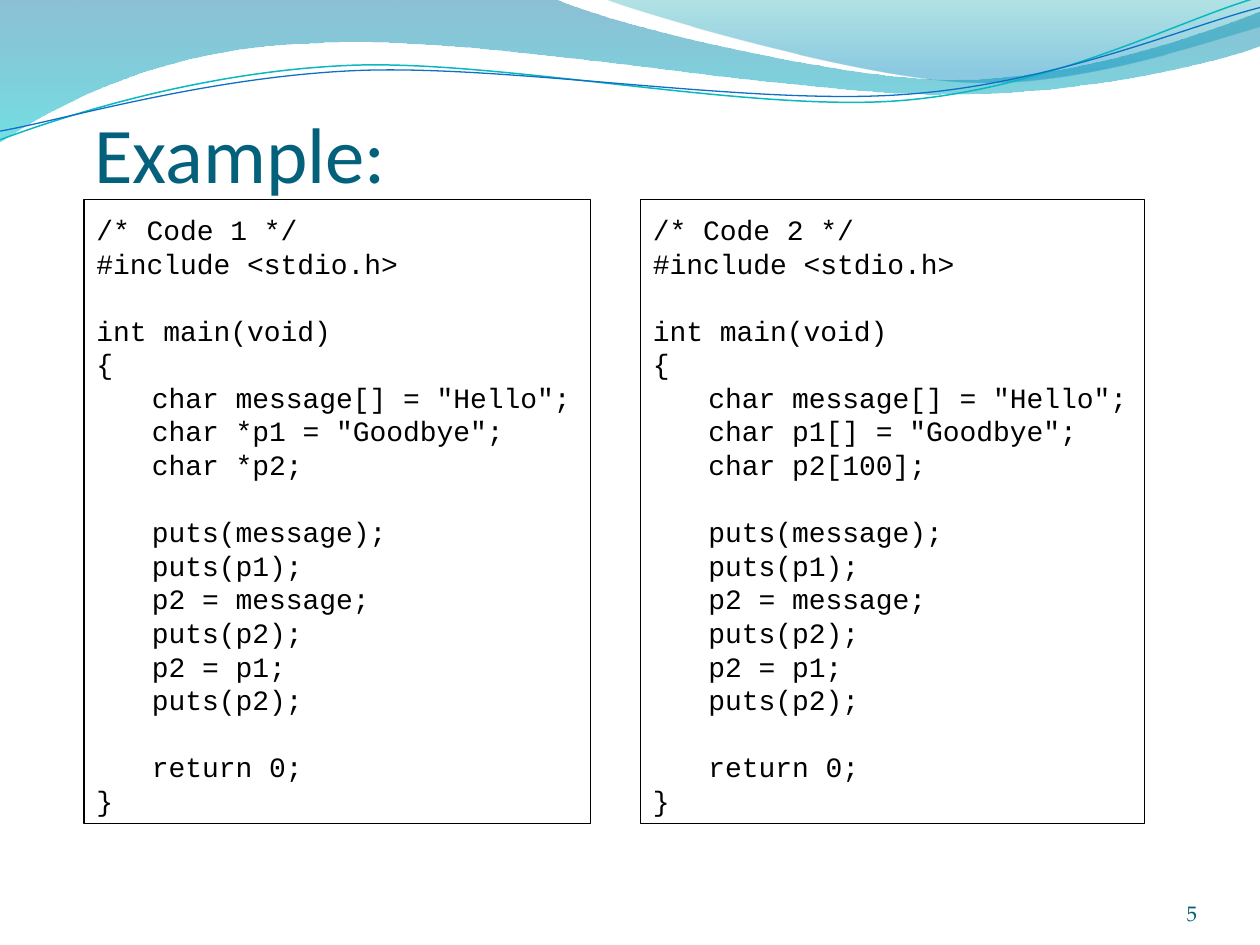
"""Build a slide that sets two C string examples side by side under a wave banner."""
import pptx
import pptx.dml.color
import pptx.enum.shapes
import pptx.enum.text
import pptx.oxml
import pptx.oxml.ns
import pptx.util

Pt = pptx.util.Pt
RGBColor = pptx.dml.color.RGBColor
ANCHOR = pptx.enum.text.MSO_ANCHOR
ALIGN = pptx.enum.text.PP_ALIGN
qn = pptx.oxml.ns.qn
DRAWING_NS = pptx.oxml.ns.nsdecls("a")

WHITE = RGBColor(0xFF, 0xFF, 0xFF)
BLACK = RGBColor(0x00, 0x00, 0x00)
TITLE_TEAL = RGBColor(0x04, 0x61, 0x7B)
NUMBER_TEAL = RGBColor(0x04, 0x5D, 0x75)
DEEP_BLUE = RGBColor(0x00, 0x74, 0xA1)
CYAN = RGBColor(0x00, 0xC6, 0xCF)
SEA_GREEN = RGBColor(0x00, 0xA1, 0xA9)
SKY_BLUE = RGBColor(0x00, 0x8B, 0xBF)
LINE_CYAN = RGBColor(0x0A, 0xB8, 0xBF)
LINE_BLUE = RGBColor(0x0F, 0x6F, 0xC6)

LINE_PITCH = 19.2
CODE_INDENT = 31.7

presentation = pptx.Presentation()
presentation.slide_width, presentation.slide_height = Pt(720), Pt(540)
slide = presentation.slides.add_slide(presentation.slide_layouts[6])


def add_outline(start, segments, close):
    """Draw segments of one point (straight) or three points (cubic curve)."""
    vertices = [(Pt(x), Pt(y)) for segment in segments for x, y in segment]
    builder = slide.shapes.build_freeform(Pt(start[0]), Pt(start[1]), scale=1.0)
    builder.add_line_segments(vertices, close=close)
    outline = builder.convert_to_shape()
    outline.shadow.inherit = False
    steps = iter(list(outline.element.spPr.iter(qn("a:lnTo"))))
    for segment in segments:
        corners = [next(steps) for point in segment]
        if len(corners) == 3:
            curve = pptx.oxml.parse_xml(f"<a:cubicBezTo {DRAWING_NS}/>")
            corners[0].addprevious(curve)
            for corner in corners:
                curve.append(corner[0])
                corner.getparent().remove(corner)
    return outline


def add_label(box, text, align, font_name, size, color):
    """Place one line of text in a frame without side insets."""
    frame = slide.shapes.add_textbox(*map(Pt, box)).text_frame
    frame.word_wrap = True
    frame.vertical_anchor = ANCHOR.BOTTOM
    frame.margin_left = frame.margin_right = frame.margin_bottom = 0
    frame.text = text
    paragraph = frame.paragraphs[0]
    paragraph.alignment = align
    font = paragraph.runs[0].font
    font.name, font.size, font.color.rgb = font_name, Pt(size), color
    return frame


waves = [
    ((0, 0), [
        [(317, -0.7)],
        [(342.7, 12.2), (478, 45.4), (545.8, 45.4)],
        [(614, 45.4), (689.8, 18.7), (720, 6.5)],
        [(720.7, 25.9)],
        [(707.8, 31.7), (626.4, 54.7), (537.1, 54)],
        [(447.8, 54), (275, 20.2), (185, 24.5)],
        [(92.9, 25.9), (33.1, 59.8), (-0.7, 81.4)],
    ], [(0, DEEP_BLUE, 45), (1, CYAN, 55)]),
    ((344.9, -0.7), [
        [(366.5, 7.9), (491, 44.6), (553.7, 46.8)],
        [(616.3, 49.7), (691.9, 23), (720, 15.1)],
        [(720, 0)],
    ], [(0, SEA_GREEN, 30), (0.8, SKY_BLUE, 45)]),
]
for start, segments, gradient in waves:
    wave = add_outline(start, segments, True)
    wave.line.fill.background()
    wave.fill.gradient()
    wave.fill.gradient_angle = 270
    for stop, (position, color, opacity) in zip(wave.fill.gradient_stops, gradient):
        stop.position = position
        stop.color.rgb = color
    tints = list(wave.element.spPr.iter(qn("a:srgbClr")))
    for tint, (position, color, opacity) in zip(tints, gradient):
        tint.append(pptx.oxml.parse_xml(f'<a:alpha {DRAWING_NS} val="{opacity * 1000}"/>'))

ribbons = [
    ((0, 79.9), [
        [(34.6, 67), (113.8, 41), (199.4, 37.4)],
        [(284.4, 33.8), (427, 64.1), (513.4, 57.6)],
        [(599.8, 51.1), (675.4, 10.8), (718.6, -1.4)],
    ], LINE_CYAN, 0.85),
    ((0, 74.9), [
        [(33.8, 69.1), (118.1, 43.9), (203.8, 40.3)],
        [(290.2, 36.7), (429.8, 60.5), (516.2, 54)],
        [(601.9, 48.2), (677.5, 15.1), (720, 4.3)],
    ], LINE_BLUE, 0.75),
]
for start, segments, color, width in ribbons:
    ribbon = add_outline(start, segments, False)
    ribbon.fill.background()
    ribbon.line.color.rgb = color
    ribbon.line.width = Pt(width)

add_label((54, 55.4, 635.8, 58.3), "Example:", ALIGN.LEFT, "Calibri", 45, TITLE_TEAL)
page_number = add_label((624, 500.4, 60, 28.8), "5", ALIGN.RIGHT,
                        "TeX Gyre Pagella", 12, NUMBER_TEAL)
page_number.margin_top = 0

listings = [
    (48, 289.5, "/* Code 1 */", "char *p1", "char *p2;"),
    (366, 288, "/* Code 2 */", "char p1[]", "char p2[100];"),
]
for left, width, heading, first_declaration, second_declaration in listings:
    code_blocks = [
        [heading, "#include <stdio.h>"],
        ["int main(void)", "{", '\tchar message[] = "Hello";',
         f'\t{first_declaration} = "Goodbye";', f"\t{second_declaration}"],
        ["\tputs(message);", "\tputs(p1);", "\tp2 = message;", "\tputs(p2);",
         "\tp2 = p1;", "\tputs(p2);"],
        ["\treturn 0;", "}"],
    ]
    listing = slide.shapes.add_shape(pptx.enum.shapes.MSO_SHAPE.RECTANGLE,
                                     Pt(left), Pt(114), Pt(width), Pt(356.4))
    listing.shadow.inherit = False
    listing.fill.solid()
    listing.fill.fore_color.rgb = WHITE
    listing.line.color.rgb = BLACK
    listing.line.width = Pt(0.75)
    frame = listing.text_frame
    frame.word_wrap = True
    frame.vertical_anchor = ANCHOR.BOTTOM
    frame.text = "\n".join(line for block in code_blocks for line in block)
    block_openers = [block[0] for block in code_blocks[1:]]
    for paragraph in frame.paragraphs:
        paragraph.alignment = ALIGN.LEFT
        paragraph.line_spacing = Pt(LINE_PITCH)
        paragraph.space_before = Pt(LINE_PITCH if paragraph.text in block_openers else 0)
        paragraph._p.get_or_add_pPr().append(pptx.oxml.parse_xml(
            f'<a:tabLst {DRAWING_NS}><a:tab pos="{Pt(CODE_INDENT)}" algn="l"/></a:tabLst>'))
        font = paragraph.runs[0].font
        font.name, font.size, font.color.rgb = "Courier New", Pt(16), BLACK

presentation.save("out.pptx")
